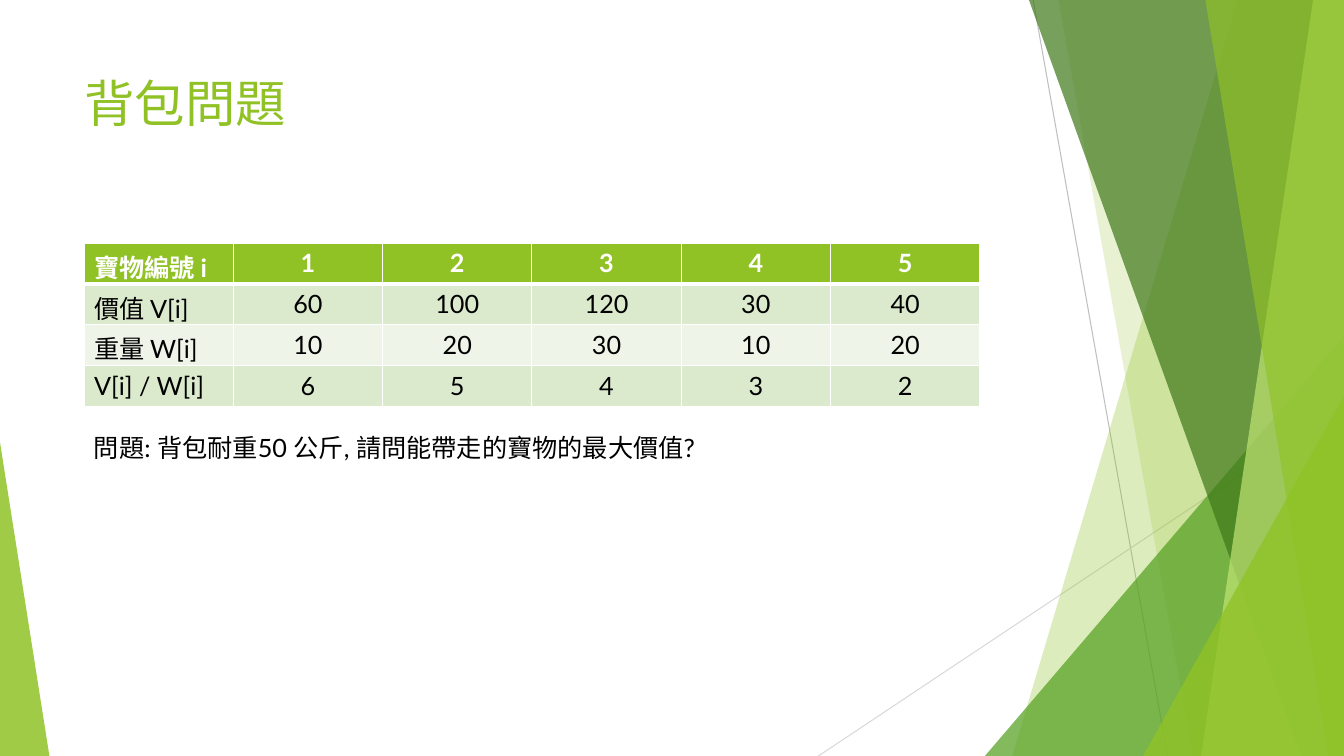
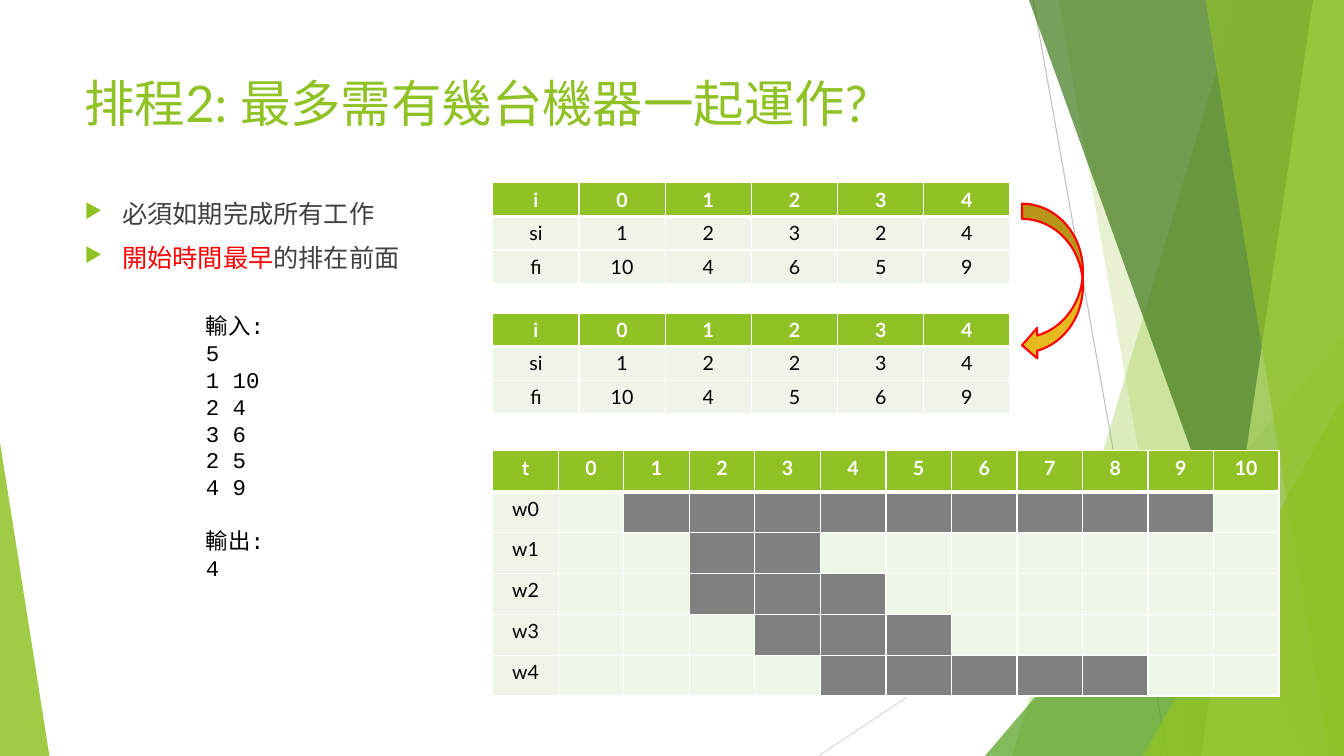
import pptx
import pptx.dml.color
import pptx.enum.shapes
import pptx.enum.text
import pptx.oxml.ns
import pptx.util
from lxml import etree

Pt = pptx.util.Pt
SHAPES = pptx.enum.shapes.MSO_SHAPE
CENTER = pptx.enum.text.PP_ALIGN.CENTER
qn = pptx.oxml.ns.qn

WIDTH, HEIGHT = 960, 540

COLORS = {
    "green": "90C226", "leaf": "54A021", "forest": "3F7819", "lime": "C0E474",
    "band": "DBE9CD", "pale": "EEF4E8", "empty": "EEF6E8", "busy": "808080",
    "white": "FFFFFF", "black": "000000", "body": "404040", "red": "FF0000",
    "gold": "E6B91E", "line": "BFBFBF", "faint": "D9D9D9",
}

# Text formats
TITLE = {"name": "Lato", "size": Pt(36), "color": "green"}
BODY = {"name": "Lato", "size": Pt(18), "color": "body"}
KEY = {**BODY, "color": "red"}
NOTE = {**BODY, "color": "black"}
CODE = {"name": "Courier New", "size": Pt(16), "color": "black"}

# Jobs as (start, finish), in the order of input
JOBS = [(1, 10), (2, 4), (3, 6), (2, 5), (4, 9)]


def rgb(color):
    return pptx.dml.color.RGBColor.from_string(COLORS[color])


def format_font(font, values):
    for name, value in values.items():
        if name == "color":
            font.color.rgb = rgb(value)
        else:
            setattr(font, name, value)


def add_element(parent, tag, **attributes):
    element = etree.SubElement(parent, qn(tag))
    for name, value in attributes.items():
        element.set(name, str(value))
    return element


def fill_shape(shape, color, opacity=100):
    shape.shadow.inherit = False
    shape.fill.solid()
    shape.fill.fore_color.rgb = rgb(color)
    shape.line.fill.background()
    if opacity < 100:
        tint = shape.fill._xPr.find(".//" + qn("a:srgbClr"))
        add_element(tint, "a:alpha", val=opacity * 1000)


def add_line(page, start, end, color):
    line = page.shapes.add_connector(
        pptx.enum.shapes.MSO_CONNECTOR.STRAIGHT, *map(Pt, start + end))
    line.line.color.rgb = rgb(color)
    line.line.width = Pt(0.75)
    add_element(line._element.spPr, "a:effectLst")


def add_blade(page, top_left, bottom_left, color, opacity):
    """A sloped band that reaches the right edge of the slide."""
    corners = [(WIDTH, 0), (WIDTH, HEIGHT), (bottom_left, HEIGHT)]
    builder = page.shapes.build_freeform(Pt(top_left), Pt(0))
    builder.add_line_segments([(Pt(x), Pt(y)) for x, y in corners], close=True)
    fill_shape(builder.convert_to_shape(), color, opacity)


def add_triangle(page, left, top, width, apex, color, opacity):
    """A triangle that stands on the bottom edge of the slide."""
    triangle = page.shapes.add_shape(
        SHAPES.ISOSCELES_TRIANGLE, Pt(left), Pt(top), Pt(width), Pt(HEIGHT - top))
    triangle.adjustments[0] = apex
    fill_shape(triangle, color, opacity)


def add_background(page):
    add_line(page, (738, 0), (834, HEIGHT), "line")
    add_line(page, (WIDTH, 290), (584.6, HEIGHT), "faint")
    add_blade(page, 884, 723, "green", 30)
    add_blade(page, 756, 852, "green", 20)
    add_triangle(page, 703.5, 240, 256.5, 1, "leaf", 72)
    add_blade(page, 735, 929.5, "forest", 70)
    add_blade(page, 938, 858, "lime", 70)
    add_blade(page, 861, 949, "green", 65)
    add_triangle(page, 816.5, 283, 143.5, 1, "green", 80)
    add_triangle(page, 0, 316, 35.3, 0, "green", 85)


def add_text(page, left, top, width, height, paragraphs):
    """Each paragraph is a list of (text, format) spans."""
    box = page.shapes.add_textbox(Pt(left), Pt(top), Pt(width), Pt(height))
    frame = box.text_frame
    frame.word_wrap = True
    for number, spans in enumerate(paragraphs):
        para = frame.add_paragraph() if number else frame.paragraphs[0]
        for text, values in spans:
            span = para.add_run()
            span.text = text
            format_font(span.font, values)
    return frame.paragraphs


def add_bullets(page, left, top, width, height, paragraphs):
    for number, para in enumerate(add_text(page, left, top, width, height, paragraphs)):
        if number:
            para.space_before = Pt(10)
        props = para._p.get_or_add_pPr()
        props.set("marL", str(Pt(27)))
        props.set("indent", str(Pt(-27)))
        add_element(add_element(props, "a:buClr"), "a:srgbClr", val=COLORS["green"])
        add_element(props, "a:buSzPct", val=80000)
        add_element(props, "a:buChar", char="▶")


def add_borders(cell, row):
    """White rules, with a thick one under the header row."""
    thick = {0: "a:lnB", 1: "a:lnT"}.get(row)
    props = cell._tc.get_or_add_tcPr()
    for tag in ("a:lnL", "a:lnR", "a:lnT", "a:lnB"):
        rule = add_element(props, tag, w=Pt(3 if tag == thick else 1))
        add_element(add_element(rule, "a:solidFill"), "a:srgbClr", val=COLORS["white"])


def add_grid(page, left, top, width, row_height, rows, size, fill, label_align=CENTER):
    """fill(row, column) names the colour of each cell below the header."""
    count = len(rows[0])
    table = page.shapes.add_table(
        len(rows), count, Pt(left), Pt(top), Pt(width), Pt(row_height * len(rows))).table
    for column in table.columns:
        column.width = Pt(width / count)
    for r, values in enumerate(rows):
        table.rows[r].height = Pt(row_height)
        for c, value in enumerate(values):
            cell = table.cell(r, c)
            add_borders(cell, r)
            cell.fill.solid()
            cell.fill.fore_color.rgb = rgb(fill(r, c) if r else "green")
            cell.text = str(value)
            para = cell.text_frame.paragraphs[0]
            para.alignment = CENTER if c else label_align
            format_font(para.font, {
                "name": "Lato", "size": Pt(size), "bold": r == 0,
                "color": "black" if r else "white"})


def add_job_table(page, top, jobs):
    starts, finishes = zip(*jobs)
    rows = [["i", *range(len(jobs))], ["si", *starts], ["fi", *finishes]]
    add_grid(page, 352, top, 369.5, 24, rows, 14, lambda r, c: "pale")


def add_timeline(page, top, jobs):
    hours = range(11)
    rows = [["t", *hours]]
    rows += [[f"w{number}"] + [""] * len(hours) for number in range(len(jobs))]

    def fill(r, c):
        if c == 0:
            return "pale"
        start, finish = jobs[r - 1]
        return "busy" if start <= c - 1 < finish else "empty"

    add_grid(page, 352, top, 561.6, 29.2, rows, 14, fill)


def add_page(deck, title):
    page = deck.slides.add_slide(deck.slide_layouts[6])
    add_background(page)
    add_text(page, 53.3, 48, 677, 104, [[(title, TITLE)]])
    return page


def build_knapsack(deck):
    page = add_page(deck, "背包問題")
    values, weights = [60, 100, 120, 30, 40], [10, 20, 30, 10, 20]
    rows = [
        ["寶物編號 i", *range(1, 6)],
        ["價值 V[i]", *values],
        ["重量 W[i]", *weights],
        ["V[i] / W[i]", *(v // w for v, w in zip(values, weights))],
    ]
    add_grid(page, 60, 173.5, 640, 29.2, rows, 18,
             lambda r, c: "band" if r % 2 else "pale", label_align=None)
    add_text(page, 60, 305, 451.5, 52,
             [[("問題: 背包耐重50 公斤, 請問能帶走的寶物的最大價值?", NOTE)]])


def build_schedule(deck):
    page = add_page(deck, "排程2: 最多需有幾台機器一起運作?")
    add_bullets(page, 53.3, 138, 290, 70, [
        [("必須如期完成所有工作", BODY)],
        [("開始時間最早", KEY), ("的排在前面", BODY)],
    ])

    # Sample input and output
    sample = ["輸入:", str(len(JOBS)), *(f"{s} {f}" for s, f in JOBS), "輸出:", "4"]
    for para in add_text(page, 140, 219.5, 80, 204, [[(line, CODE)] for line in sample]):
        para.line_spacing = Pt(19.2)
        if para.text == "輸出:":
            para.space_before = Pt(19.2)

    # Jobs before and after sorting by start time
    ordered = sorted(JOBS, key=lambda job: job[0])
    ordered[1:3] = sorted(ordered[1:3])
    add_job_table(page, 130.5, JOBS)
    add_job_table(page, 223.5, ordered)
    add_timeline(page, 322, ordered)

    arrow = page.shapes.add_shape(
        SHAPES.CURVED_LEFT_ARROW, Pt(730), Pt(145.5), Pt(43.5), Pt(112))
    fill_shape(arrow, "gold")
    arrow.line.color.rgb = rgb("red")
    arrow.line.width = Pt(1.5)


def main():
    deck = pptx.Presentation()
    deck.slide_width, deck.slide_height = Pt(WIDTH), Pt(HEIGHT)
    build_knapsack(deck)
    build_schedule(deck)
    deck.save("out.pptx")


if __name__ == "__main__":
    main()
